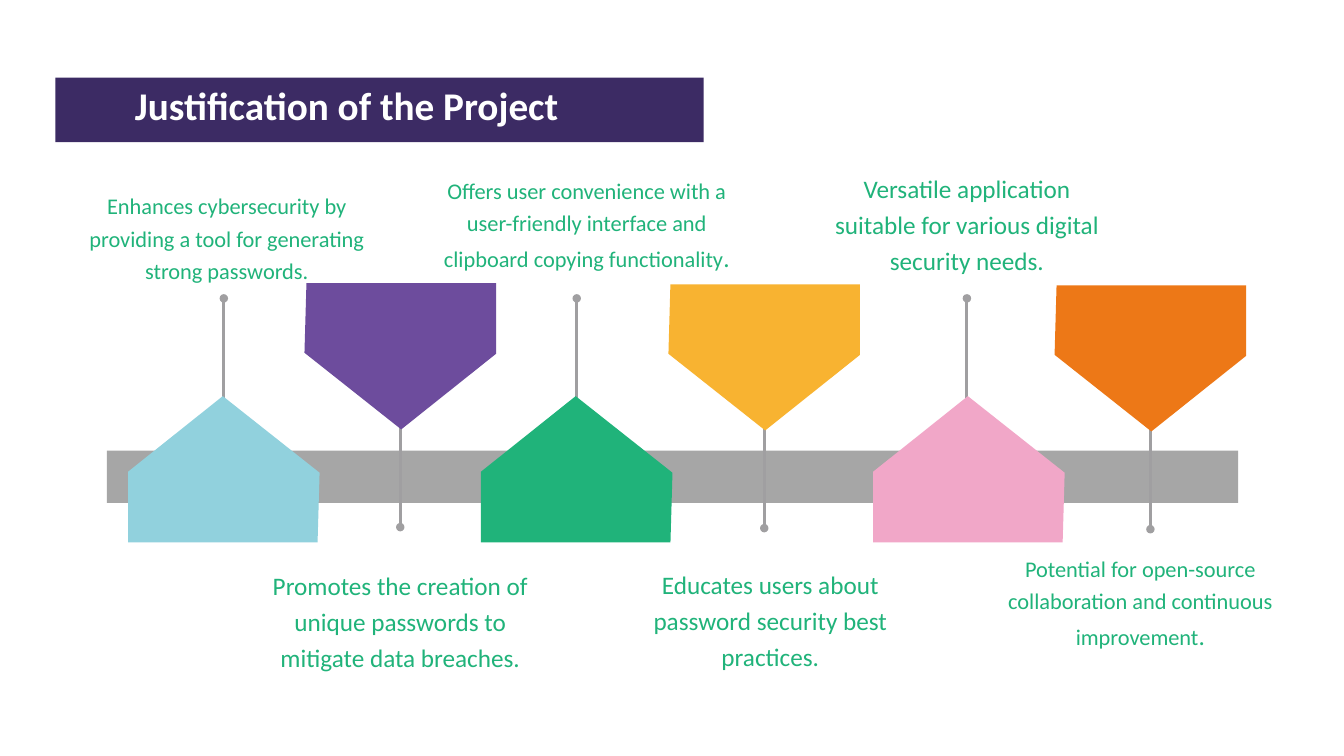
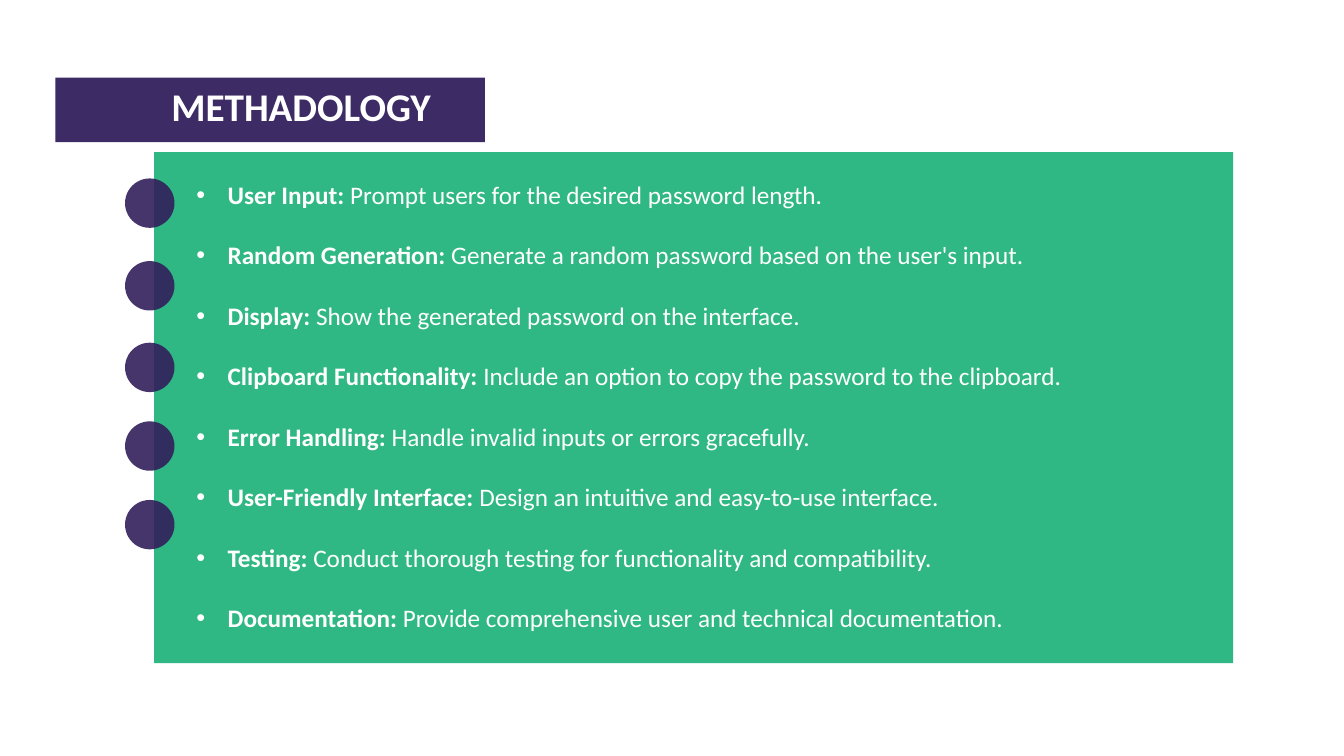
"""Build two slides: a justification timeline and a methodology list."""
from dataclasses import dataclass
from typing import Any

from lxml.etree import SubElement
from pptx import Presentation
from pptx.dml.color import RGBColor
from pptx.enum.shapes import MSO_CONNECTOR, MSO_SHAPE
from pptx.enum.text import MSO_ANCHOR, PP_ALIGN
from pptx.oxml.ns import qn
from pptx.util import Pt

EMU_PER_PX = 9144
FONT = "Calibri"
WHITE = "FFFFFF"
PURPLE = "32205C"
GREEN = "20B37A"
BAR_GRAY = "A6A6A6"
STEM_GRAY = "A09FA1"

MARKER_WIDTH, MARKER_HEIGHT = 190, 145
MARKER_OUTLINE = [(2, 0), (190, 0), (190, 70), (96, 145), (0, 69)]
STEM_START, STEM_END = 139, 242
CAPTION_WIDTH = 288
DISC_SIZE = 49
DISC_TOPS = [177, 259, 340, 418, 496]
BULLET_INDENT = 31


@dataclass(frozen=True)
class Box:
    left: int
    top: int
    width: int
    height: int


@dataclass(frozen=True)
class TextRun:
    text: str
    size: int
    color: str = GREEN
    bold: bool = False


@dataclass(frozen=True)
class Marker:
    left: int
    top: int
    color: str
    points_up: bool
    caption_box: Box
    caption: list[TextRun]
    stem_offset: int = 95


@dataclass(frozen=True)
class Step:
    name: str
    detail: str


MARKERS = [
    Marker(127, 393, "91D1DD", True, Box(81, 169, CAPTION_WIDTH, 129),
           [TextRun("Enhances cybersecurity by providing a tool for generating strong passwords.", 16)]),
    Marker(302, 281, "6D4C9D", False, Box(253, 559, CAPTION_WIDTH, 109),
           [TextRun("Promotes the creation of unique passwords to mitigate data breaches.", 18)]),
    Marker(477, 393, GREEN, True, Box(438, 154, CAPTION_WIDTH, 133),
           [TextRun("Offers user convenience with a user-friendly interface and "
                    "clipboard copying functionality", 16), TextRun(".", 18)]),
    Marker(663, 282, "F8B331", False, Box(620, 558, CAPTION_WIDTH, 109),
           [TextRun("Educates users about password security best practices.", 18)]),
    Marker(866, 393, "F1A7C8", True, Box(815, 165, CAPTION_WIDTH, 109),
           [TextRun("Versatile application suitable for various digital security needs.", 18)], 93),
    Marker(1046, 283, "ED7817", False, Box(987, 545, CAPTION_WIDTH, 101),
           [TextRun("Potential for open-source collaboration and continuous improvement", 16),
            TextRun(".", 18)]),
]

STEPS = [
    Step("User Input:", "Prompt users for the desired password length."),
    Step("Random Generation:", "Generate a random password based on the user's input."),
    Step("Display:", "Show the generated password on the interface."),
    Step("Clipboard Functionality:", "Include an option to copy the password to the clipboard."),
    Step("Error Handling:", "Handle invalid inputs or errors gracefully."),
    Step("User-Friendly Interface:", "Design an intuitive and easy-to-use interface."),
    Step("Testing:", "Conduct thorough testing for functionality and compatibility."),
    Step("Documentation:", "Provide comprehensive user and technical documentation."),
]


def px(length: int) -> int:
    return length * EMU_PER_PX


def rgb(color: str) -> RGBColor:
    return RGBColor.from_string(color)


def place(box: Box) -> tuple[int, int, int, int]:
    return px(box.left), px(box.top), px(box.width), px(box.height)


def paint(shape: Any, color: str, opacity: int = 100) -> None:
    shape.shadow.inherit = False
    shape.line.fill.background()
    shape.fill.solid()
    shape.fill.fore_color.rgb = rgb(color)
    if opacity < 100:
        color_element = shape._element.spPr.find(".//" + qn("a:srgbClr"))
        SubElement(color_element, qn("a:alpha"), val=str(opacity * 1000))


def add_block(shapes: Any, kind: MSO_SHAPE, box: Box, color: str, opacity: int = 100) -> None:
    paint(shapes.add_shape(kind, *place(box)), color, opacity)


def add_text_frame(shapes: Any, box: Box) -> Any:
    frame = shapes.add_textbox(*place(box)).text_frame
    frame.word_wrap = True
    return frame


def add_runs(paragraph: Any, runs: list[TextRun]) -> None:
    for item in runs:
        run = paragraph.add_run()
        run.text = item.text
        run.font.name = FONT
        run.font.size = Pt(item.size)
        run.font.bold = item.bold
        run.font.color.rgb = rgb(item.color)


def add_title(slide: Any, text: str, band_width: int, text_box: Box, alignment: PP_ALIGN) -> None:
    add_block(slide.shapes, MSO_SHAPE.RECTANGLE, Box(55, 77, band_width, 64), PURPLE, 95)
    paragraph = add_text_frame(slide.shapes, text_box).paragraphs[0]
    paragraph.alignment = alignment
    add_runs(paragraph, [TextRun(text, 28, WHITE, True)])


def add_stem(shapes: Any, x: int, start: int, end: int) -> None:
    stem = shapes.add_connector(MSO_CONNECTOR.STRAIGHT, px(x), px(start), px(x), px(end))
    stem.line.color.rgb = rgb(STEM_GRAY)
    stem.line.width = Pt(2)
    SubElement(stem.line._get_or_add_ln(), qn("a:tailEnd"), type="oval")
    SubElement(stem._element.spPr, qn("a:effectLst"))


def add_marker(slide: Any, marker: Marker) -> None:
    shapes = slide.shapes.add_group_shape().shapes
    outline = MARKER_OUTLINE
    start, end = STEM_START, STEM_END
    if marker.points_up:
        outline = [(MARKER_WIDTH - x, MARKER_HEIGHT - y) for x, y in outline]
        start, end = MARKER_HEIGHT - start, MARKER_HEIGHT - end
    add_stem(shapes, marker.left + marker.stem_offset, marker.top + start, marker.top + end)
    points = [(marker.left + x, marker.top + y) for x, y in outline]
    builder = shapes.build_freeform(*points[0], scale=EMU_PER_PX)
    builder.add_line_segments(points[1:], close=True)
    paint(builder.convert_to_shape(), marker.color)

    frame = add_text_frame(shapes, marker.caption_box)
    frame.margin_left = frame.margin_right = frame.margin_top = frame.margin_bottom = 0
    frame.vertical_anchor = MSO_ANCHOR.MIDDLE
    paragraph = frame.paragraphs[0]
    paragraph.alignment = PP_ALIGN.CENTER
    paragraph.line_spacing = 1.2
    add_runs(paragraph, marker.caption)


def add_steps(slide: Any, box: Box) -> None:
    frame = add_text_frame(slide.shapes, box)
    for index, step in enumerate(STEPS):
        paragraph = frame.add_paragraph() if index else frame.paragraphs[0]
        paragraph.alignment = PP_ALIGN.JUSTIFY
        paragraph.space_after = Pt(21.6)
        properties = paragraph._p.get_or_add_pPr()
        properties.set("marL", str(px(BULLET_INDENT)))
        properties.set("indent", str(-px(BULLET_INDENT)))
        SubElement(properties, qn("a:buFont"), typeface="Arial")
        SubElement(properties, qn("a:buChar"), char="•")
        add_runs(paragraph, [TextRun(step.name + " ", 18, WHITE, True),
                             TextRun(step.detail, 18, WHITE)])


def build_justification(slide: Any) -> None:
    add_block(slide.shapes, MSO_SHAPE.RECTANGLE, Box(106, 447, 1122, 52), BAR_GRAY)
    for marker in MARKERS:
        add_marker(slide, marker)
    add_title(slide, "Justification of the Project", 643, Box(124, 76, 564, 57), PP_ALIGN.LEFT)


def build_methodology(slide: Any) -> None:
    add_block(slide.shapes, MSO_SHAPE.RECTANGLE, Box(153, 151, 1070, 507), GREEN, 93)
    add_title(slide, "METHADOLOGY", 426, Box(124, 77, 349, 57), PP_ALIGN.CENTER)
    for top in DISC_TOPS:
        add_block(slide.shapes, MSO_SHAPE.OVAL, Box(124, top, DISC_SIZE, DISC_SIZE), PURPLE, 90)
    add_steps(slide, Box(185, 173, 1006, 464))


def main() -> None:
    presentation = Presentation()
    presentation.slide_width = px(1333)
    presentation.slide_height = px(750)
    blank_layout = presentation.slide_layouts[6]
    for build in (build_justification, build_methodology):
        build(presentation.slides.add_slide(blank_layout))
    presentation.save("out.pptx")


if __name__ == "__main__":
    main()
